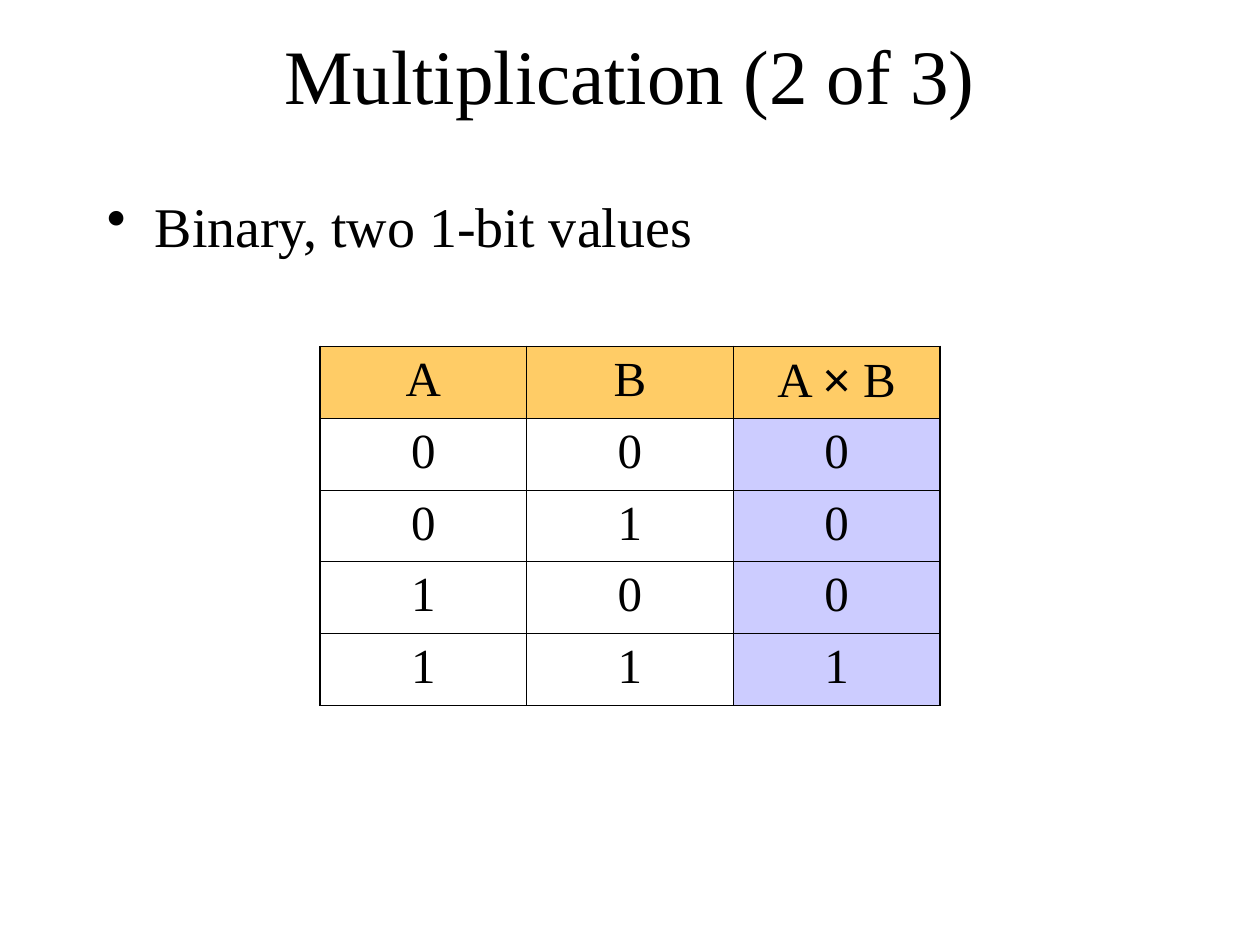
from lxml import etree
from pptx import Presentation, util as u
from pptx.dml.color import RGBColor
from pptx.enum import text
from pptx.oxml import ns

COLORS = {"ink": "000000", "header": "FFCC66", "product": "CCCCFF"}
FONT = "Times New Roman"

presentation = Presentation()
presentation.slide_width, presentation.slide_height = u.Inches(10), u.Inches(7.5)
slide = presentation.slides.add_slide(presentation.slide_layouts[6])
width, height = presentation.slide_width, presentation.slide_height


def add_run(paragraph, words, size, name=FONT):
    run = paragraph.add_run()
    run.text = words
    for key, value in {"size": u.Pt(size), "name": name}.items():
        setattr(run.font, key, value)
    run.font.color.rgb = RGBColor.from_string(COLORS["ink"])


def add_border(cell, side, points):
    line = etree.SubElement(cell._tc.get_or_add_tcPr(), ns.qn(f"a:ln{side}"), w=str(u.Pt(points)))
    fill = etree.SubElement(line, ns.qn("a:solidFill"))
    etree.SubElement(fill, ns.qn("a:srgbClr"), val=COLORS["ink"])


# Title and bullet: words, size, top and height as shares, alignment, anchor
boxes = [
    ("Multiplication (2 of 3)", 44, 0.023, 0.11, text.PP_ALIGN.CENTER, text.MSO_ANCHOR.MIDDLE),
    ("Binary, two 1-bit values", 32, 0.196, 0.6, text.PP_ALIGN.LEFT, text.MSO_ANCHOR.TOP),
]
for words, size, top, share, alignment, anchor in boxes:
    shape = slide.shapes.add_textbox(
        int(width * 0.075), int(height * top), int(width * 0.85), int(height * share))
    for key, value in {"word_wrap": True, "vertical_anchor": anchor}.items():
        setattr(shape.text_frame, key, value)
    paragraph = shape.text_frame.paragraphs[0]
    paragraph.alignment = alignment
    if alignment == text.PP_ALIGN.LEFT:
        properties = paragraph._p.get_or_add_pPr()
        properties.set("marL", str(u.Inches(0.38)))
        properties.set("indent", str(-u.Inches(0.38)))
        etree.SubElement(properties, ns.qn("a:buChar"), char="•")
    add_run(paragraph, words, size)

# Truth table, centred across the slide
header = ["A", "B", "A × B"]
rows = [header] + [[str(a), str(b), str(a * b)] for a in (0, 1) for b in (0, 1)]
column_width, row_height = u.Inches(1.64), u.Inches(0.57)
last_row, last_column = len(rows) - 1, len(header) - 1
table_width = column_width * len(header)
table = slide.shapes.add_table(
    len(rows), len(header), (width - table_width) // 2, u.Inches(2.75),
    table_width, row_height * len(rows)).table
table.first_row = table.horz_banding = False
for column in table.columns:
    column.width = column_width

for r, values in enumerate(rows):
    table.rows[r].height = row_height
    for c, value in enumerate(values):
        cell = table.cell(r, c)
        # Outer edges are heavier than inner ones
        outer = {"L": c == 0, "R": c == last_column, "T": r == 0, "B": r == last_row}
        for side, is_outer in outer.items():
            add_border(cell, side, 1.08 if is_outer else 0.45)
        if r == 0 or c == last_column:
            cell.fill.solid()
            cell.fill.fore_color.rgb = RGBColor.from_string(COLORS["product" if r else "header"])
        else:
            cell.fill.background()
        paragraph = cell.text_frame.paragraphs[0]
        paragraph.alignment = text.PP_ALIGN.CENTER
        before, sign, after = value.partition("×")
        for words, name in ((before, FONT), (sign, "Arial"), (after, FONT)):
            if words:
                add_run(paragraph, words, 28, name)

presentation.save("out.pptx")
